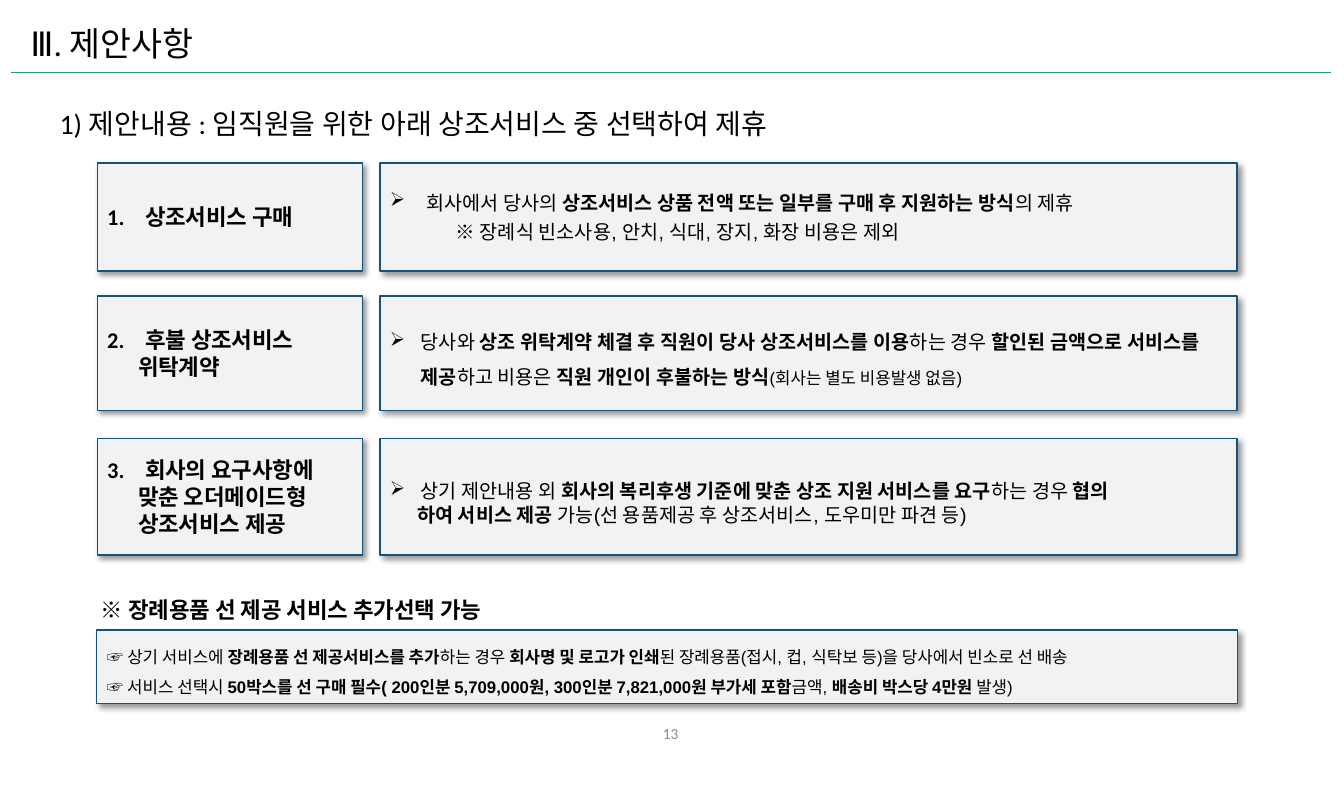
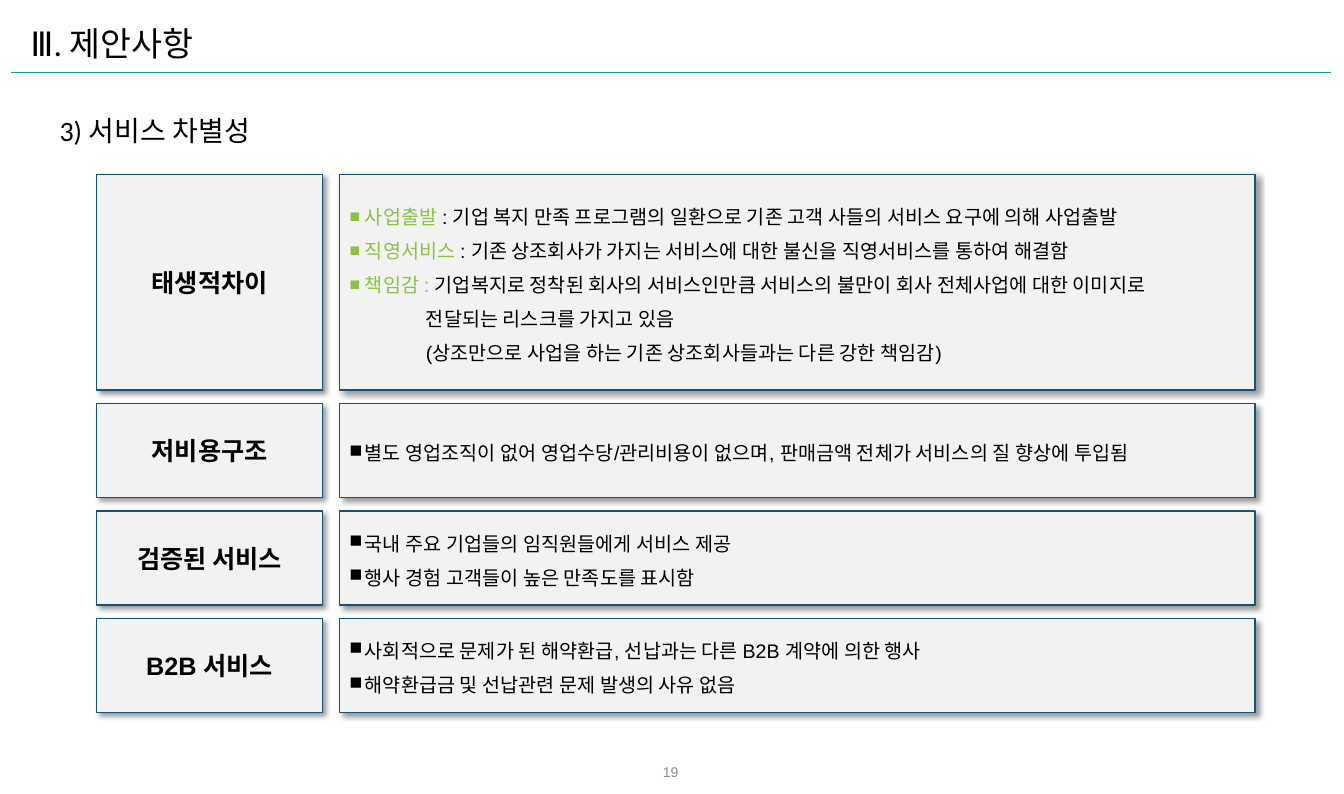
import pptx
import pptx.util
import pptx.dml.color
import pptx.enum.lang
import pptx.enum.shapes
import pptx.enum.text
import pptx.oxml
import pptx.oxml.ns
import lxml.etree

Pt = pptx.util.Pt
Align = pptx.enum.text.PP_ALIGN
Anchor = pptx.enum.text.MSO_ANCHOR
COLORS = {"ink": "000000", "panel": "F2F2F2", "edge": "15527D",
          "rule": "1D9A78", "accent": "8BC145", "folio": "8C8C8C"}
ARROW = {"mark": "➢", "left": 22, "hang": 22}
SQUARE = {"mark": "■", "scale": 90, "left": 11, "hang": 11,
          "lead": 1.2, "before": 4.2}


def tint(name):
    return pptx.dml.color.RGBColor.from_string(COLORS[name])


def add(parent, tag, **attrs):
    child = lxml.etree.SubElement(parent, pptx.oxml.ns.qn(tag))
    for key, value in attrs.items():
        child.set(key, str(value))
    return child


def bold(text):
    return text, {"bold": True}


def green(text):
    return text, {"color": "accent"}


def style(run, size=14, face="Arial", color="ink", bold=False):
    font = run.font
    font.size, font.name, font.bold = Pt(size), face, bold
    font.color.rgb = tint(color)
    font.language_id = pptx.enum.lang.MSO_LANGUAGE_ID.KOREAN
    add(run._r.get_or_add_rPr(), "a:ea", typeface="Calibri")


def layout(para, mark=None, start=None, scale=100, left=0, hang=0,
           lead=1.0, before=0, align=Align.LEFT):
    """Set bullet or number, indent (points) and spacing of a paragraph."""
    props = para._p.get_or_add_pPr()
    props.set("marL", str(Pt(left)))
    props.set("indent", str(-Pt(hang)))
    if mark:
        add(props, "a:buSzPct", val=scale * 1000)
        add(props, "a:buChar", char=mark)
    elif start:
        add(props, "a:buAutoNum", type="arabicPeriod", startAt=start)
    else:
        add(props, "a:buNone")
    para.alignment, para.line_spacing = align, lead
    para.space_before, para.space_after = Pt(before), Pt(0)


def write(frame, *paras, anchor=Anchor.TOP, **base):
    """Fill a frame; each paragraph is (options, run, run...)."""
    frame.word_wrap = True
    frame.auto_size = pptx.enum.text.MSO_AUTO_SIZE.NONE
    frame.vertical_anchor = anchor
    for index, (options, *runs) in enumerate(paras):
        para = frame.add_paragraph() if index else frame.paragraphs[0]
        layout(para, **(options if index else {**options, "before": 0}))
        for item in runs:
            text, extra = (item, {}) if isinstance(item, str) else item
            run = para.add_run()
            run.text = text
            style(run, **{**base, **extra})


class Deck:
    def __init__(self):
        self.show = pptx.Presentation()
        self.show.slide_width, self.show.slide_height = Pt(960), Pt(567)

    def page(self, head, top, number, foot):
        self.slide = self.show.slides.add_slide(self.show.slide_layouts[1])
        line = self.slide.shapes.add_connector(
            pptx.enum.shapes.MSO_CONNECTOR.STRAIGHT,
            Pt(8), Pt(52), Pt(950.5), Pt(52))
        line.line.color.rgb, line.line.width = tint("rule"), Pt(0.5)
        add(line._element.spPr, "a:effectLst")
        title = self.slide.shapes.title
        self.place(title, 14.5, 13, 237, 36)
        write(title.text_frame, ({}, "Ⅲ. 제안사항"), size=24, face="Calibri")
        self.text(35.5, top, 848, 32, ({}, head), size=20, face="Calibri")
        face, size = foot["face"], foot["size"]
        self.text(366, foot["top"], 226, 29,
                  ({"align": Align.CENTER}, number), anchor=Anchor.MIDDLE,
                  size=size, face=face, color="folio")

    def place(self, shape, *area):
        shape.left, shape.top, shape.width, shape.height = map(Pt, area)

    def text(self, left, top, width, height, *paras, **base):
        box = self.slide.shapes.add_textbox(*map(Pt, (left, top, width, height)))
        write(box.text_frame, *paras, **base)

    def panel(self, left, top, width, height, *paras, body=False, **base):
        """Draw a shadowed panel; body puts it in the body placeholder."""
        area = left, top, width, height
        if body:
            shape = self.slide.placeholders[1]
            self.place(shape, *area)
        else:
            shape = self.slide.shapes.add_shape(
                pptx.enum.shapes.MSO_SHAPE.RECTANGLE, *map(Pt, area))
        shape.fill.solid()
        shape.fill.fore_color.rgb = tint("panel")
        shape.line.color.rgb, shape.line.width = tint("edge"), Pt(1)
        self.shade(shape)
        write(shape.text_frame, *paras, anchor=Anchor.MIDDLE, **base)

    def shade(self, shape):
        shape.shadow.inherit = False
        effects = shape._element.spPr.find(pptx.oxml.ns.qn("a:effectLst"))
        shadow = add(effects, "a:outerShdw", blurRad=Pt(4), dist=Pt(3),
                     dir=45 * 60000, algn="tl", rotWithShape=0)
        color = add(shadow, "a:srgbClr", val=COLORS["ink"])
        add(color, "a:alpha", val=40000)


def offer(deck):
    deck.page("1) 제안내용 : 임직원을 위한 아래 상조서비스 중 선택하여 제휴", 72.5,
              "13", {"top": 509, "size": 11, "face": "Calibri"})
    rows = [
        (116.5, 77, ["상조서비스 구매"], [
            ({**ARROW, "left": 26, "hang": 26}, "회사에서 당사의 ",
             bold("상조서비스 상품 전액 또는 일부를 구매 후 지원하는 방식"), "의 제휴"),
            ({"left": 47, "before": 4.2},
             "※ 장례식 빈소사용, 안치, 식대, 장지, 화장 비용은 제외")]),
        (211.5, 81.5, ["후불 상조서비스", "위탁계약"], [
            ({**ARROW, "lead": 1.5}, "당사와 ",
             bold("상조 위탁계약 체결 후 직원이 당사 상조서비스를 이용"),
             "하는 경우 ", bold("할인된 금액으로 서비스를 제공"),
             "하고 비용은 ", bold("직원 개인이 후불하는 방식"),
             ("(회사는 별도 비용발생 없음)", {"size": 12}))]),
        (313, 83.5, ["회사의 요구사항에", "맞춘 오더메이드형", "상조서비스 제공"], [
            ({**ARROW, "lead": 1.5}, "상기 제안내용 외 ",
             bold("회사의 복리후생 기준에 맞춘 상조 지원 서비스를 요구"),
             "하는 경우 ", bold("협의")),
            ({"left": 19.5}, bold("하여 서비스 제공 "),
             "가능(선 용품제공 후 상조서비스, 도우미만 파견 등)")]),
    ]
    for start, (top, height, label, points) in enumerate(rows, 1):
        first, *rest = label
        deck.panel(69.5, top, 189.5, height,
                   ({"start": start, "left": 27, "hang": 27}, first),
                   *(({"left": 22}, line) for line in rest),
                   size=16, bold=True)
        deck.panel(271.5, top, 612, height, *points)
    deck.text(65, 422, 323, 27, ({}, "※ 장례용품 선 제공 서비스 추가선택 가능"),
              size=16, face="Noto Sans CJK KR", bold=True)
    deck.panel(
        69, 450, 815, 52.5,
        ({"lead": 1.5}, ("☞ ", {"face": "Noto Sans CJK KR"}), "상기 서비스에 ",
         bold("장례용품 선 제공서비스를 추가"), "하는 경우 ",
         bold("회사명 및 로고가 인쇄"),
         "된 장례용품(접시, 컵, 식탁보 등)을 당사에서 빈소로 선 배송"),
        ({"lead": 1.5}, "☞ 서비스 선택시 ",
         bold("50박스를 선 구매 필수( 200인분 5,709,000원, "
              "300인분 7,821,000원 부가세 포함"),
         "금액, ", bold("배송비 박스당 4만원 "), "발생)"),
        body=True, size=12)


def merits(deck):
    deck.page("3) 서비스 차별성", 77.5,
              "19", {"top": 536.5, "size": 10, "face": "Arial"})
    inset = {**SQUARE, "mark": None, "left": 54.5, "hang": 0}
    rows = [
        ("태생적차이", 154, [
            (SQUARE, green("사업출발 "),
             ": 기업 복지 만족 프로그램의 일환으로 기존 고객 사들의 서비스 요구에 의해 사업출발"),
            (SQUARE, green("직영서비스 "),
             ": 기존 상조회사가 가지는 서비스에 대한 불신을 직영서비스를 통하여 해결함"),
            (SQUARE, green("책임감 : "),
             "기업복지로 정착된 회사의 서비스인만큼 서비스의 불만이 회사 전체사업에 대한 이미지로"),
            (inset, "전달되는 리스크를 가지고 있음"),
            (inset, "(상조만으로 사업을 하는 기존 상조회사들과는 다른 강한 책임감)")]),
        ("저비용구조", 67, [
            (SQUARE, "별도 영업조직이 없어 영업수당/관리비용이 없으며, "
                     "판매금액 전체가 서비스의 질 향상에 투입됨")]),
        ("검증된 서비스", 67, [
            (SQUARE, "국내 주요 기업들의 임직원들에게 서비스 제공"),
            (SQUARE, "행사 경험 고객들이 높은 만족도를 표시함")]),
        ("B2B 서비스", 67, [
            (SQUARE, "사회적으로 문제가 된 해약환급, 선납과는 다른 B2B 계약에 의한 행사"),
            (SQUARE, "해약환급금 및 선납관련 문제 발생의 사유 없음")]),
    ]
    top, gap = 124.5, 9.75
    for index, (label, height, points) in enumerate(rows):
        deck.panel(69, top, 161.5, height, ({"align": Align.CENTER}, label),
                   size=18, bold=True)
        deck.panel(242.5, top, 654, height, *points, body=index == 0)
        top += height + gap


def main():
    deck = Deck()
    offer(deck)
    merits(deck)
    deck.show.save("out.pptx")


if __name__ == "__main__":
    main()
